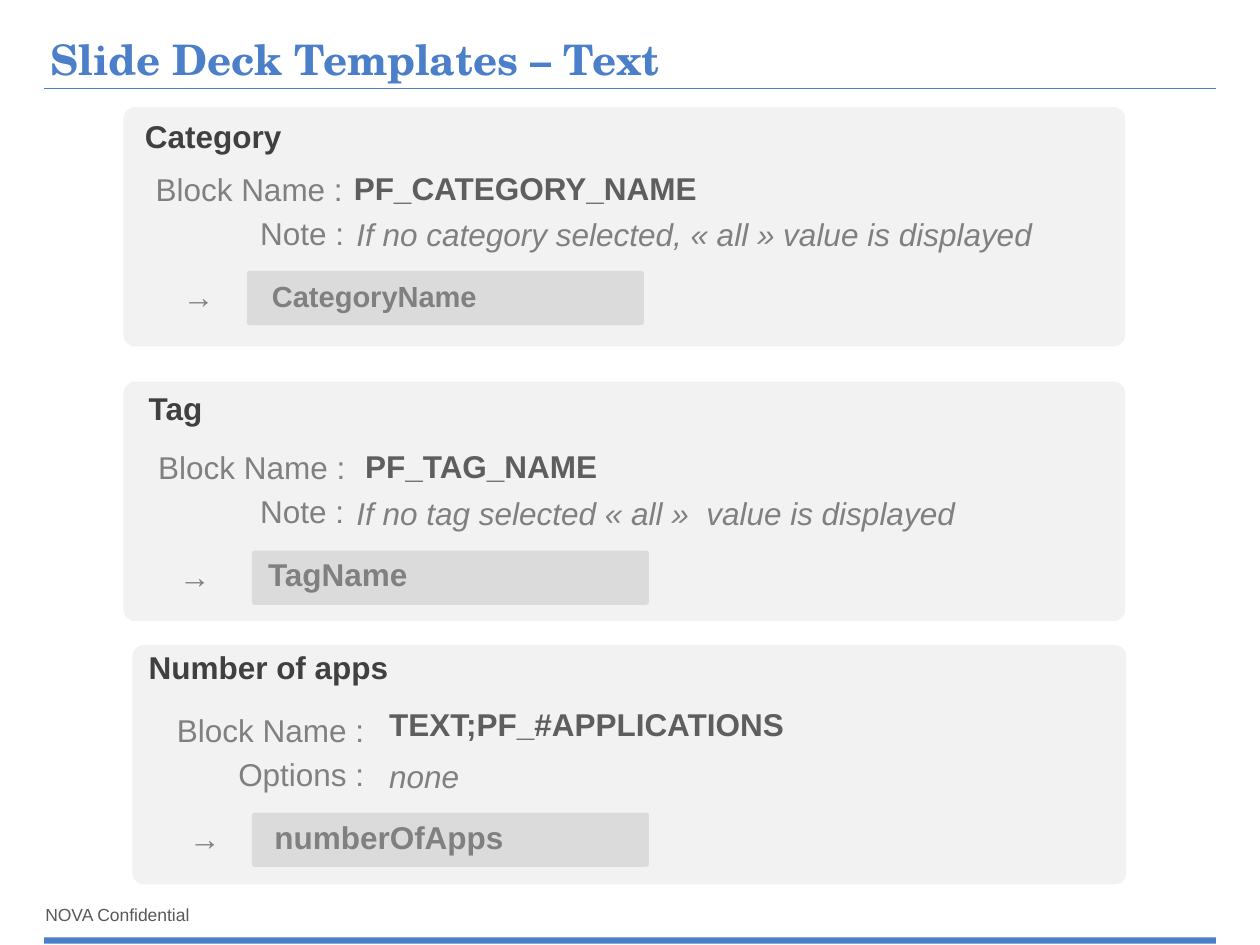
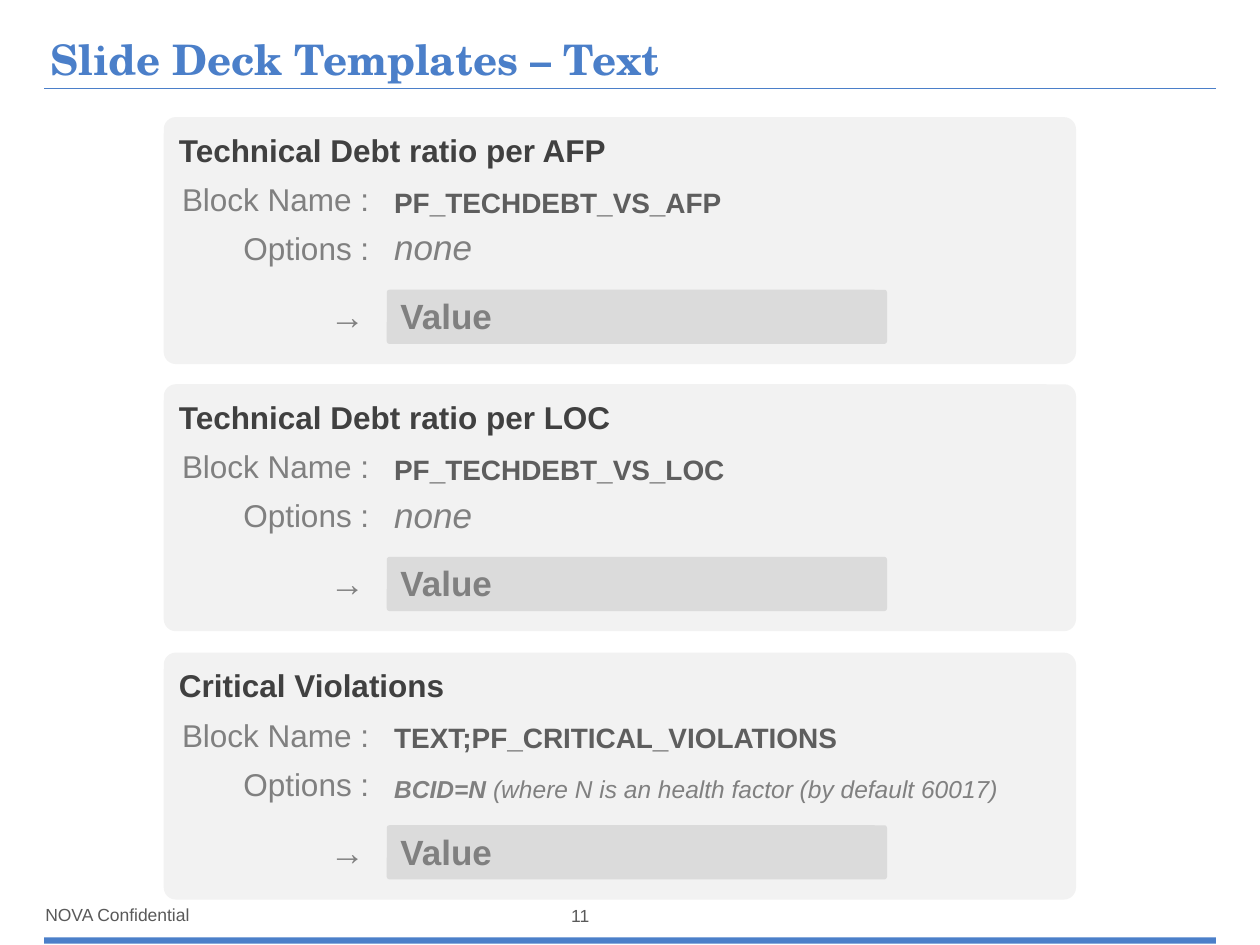
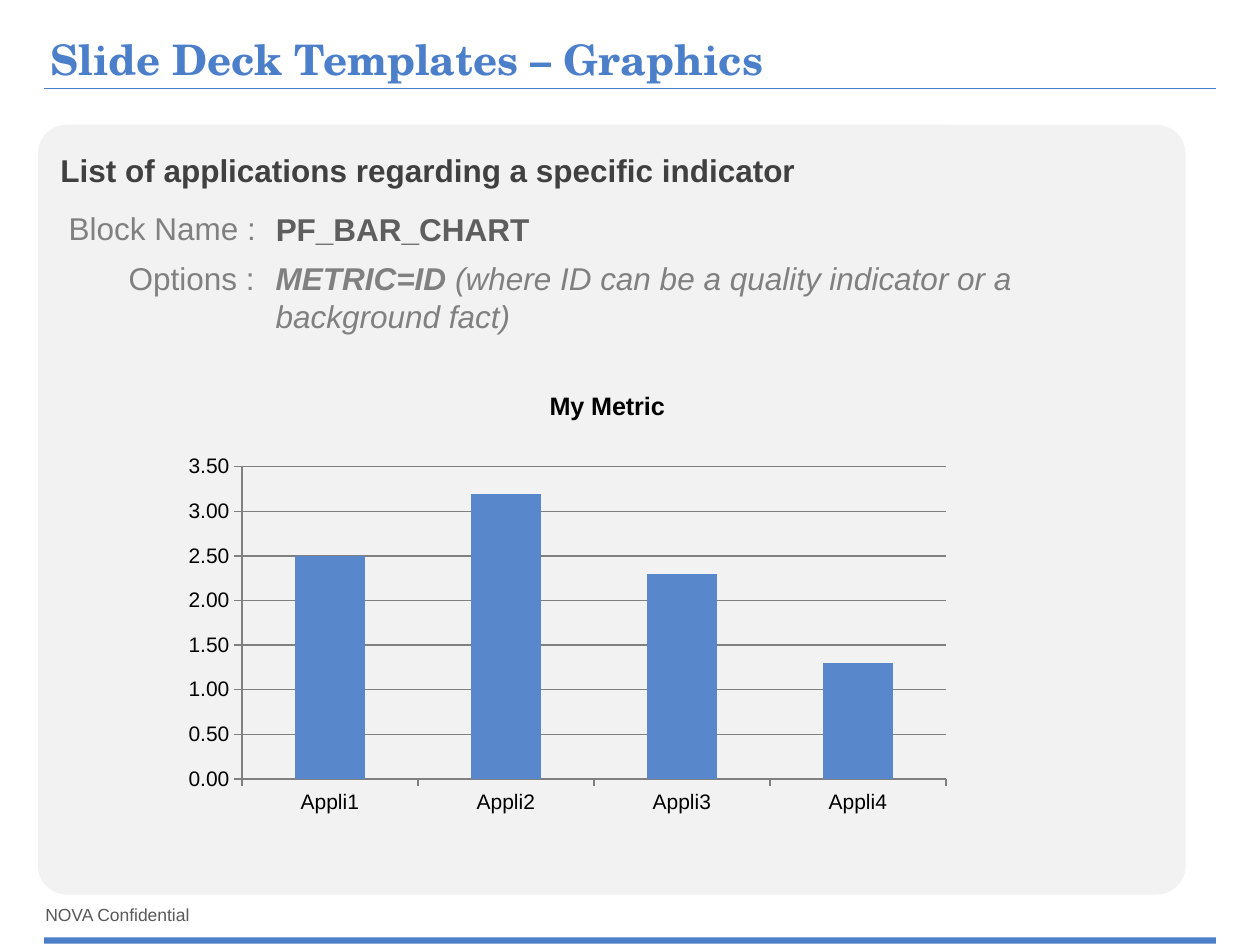
from lxml import etree
from pptx import Presentation
from pptx import util as u
from pptx.chart.data import CategoryChartData
from pptx.dml.color import RGBColor
from pptx.enum import chart as ch, shapes, text
from pptx.oxml.ns import qn

PX = 9144  # 100 px to the inch
BLUE = RGBColor(0x4B, 0x7F, 0xC9)
COLUMN_BLUE = RGBColor(0x59, 0x87, 0xCC)
PANEL = RGBColor(0xF2, 0xF2, 0xF2)
SILVER = RGBColor(0xBF, 0xBF, 0xBF)
GREY = RGBColor(0x80, 0x80, 0x80)
DARK = RGBColor(0x40, 0x40, 0x40)
NAME_GREY = RGBColor(0x5E, 0x5E, 0x5E)
FOOTER_GREY = RGBColor(0x59, 0x59, 0x59)
BLACK = RGBColor(0, 0, 0)
LEFT, CENTER, RIGHT = text.PP_ALIGN.LEFT, text.PP_ALIGN.CENTER, text.PP_ALIGN.RIGHT

HEADING = dict(color=DARK, bold=True, insets=(20, 5, 20, 5))
NAME = dict(color=NAME_GREY, bold=True)
LABEL = dict(align=RIGHT, wrap=False)
NOTE = dict(italic=True)
VALUE = dict(bold=True)


def write(slide, box, words, shape=None, lead="", font="Arial", size=18, color=GREY,
          bold=False, italic=False, align=LEFT, anchor=text.MSO_ANCHOR.TOP,
          wrap=True, insets=(10, 5, 10, 5), spacing=None, before=0):
    """Put words in a placeholder or a new text box; lead is a bold opening."""
    box = [n * PX for n in box]
    if shape is None:
        shape = slide.shapes.add_textbox(*box)
    else:
        shape.left, shape.top, shape.width, shape.height = box
    frame = shape.text_frame
    frame.word_wrap = wrap
    frame.auto_size = text.MSO_AUTO_SIZE.NONE
    frame.vertical_anchor = anchor
    (frame.margin_left, frame.margin_top,
     frame.margin_right, frame.margin_bottom) = [n * PX for n in insets]
    line = frame.paragraphs[0]
    line.alignment = align
    line.line_spacing = spacing
    line.space_before = u.Pt(before)
    for part, heavy in ((lead, True), (words, bold)):
        if part:
            run = line.add_run()
            run.text = part
            run.font.name, run.font.size = font, u.Pt(size)
            run.font.bold, run.font.italic = heavy, italic
            run.font.color.rgb = color


def fill_box(slide, box, color, radius=0.049, opacity=100):
    """Draw a filled box without outline; radius 0 gives square corners."""
    kind = shapes.MSO_SHAPE.ROUNDED_RECTANGLE if radius else shapes.MSO_SHAPE.RECTANGLE
    shape = slide.shapes.add_shape(kind, *[n * PX for n in box])
    shape.shadow.inherit = False
    if radius:
        shape.adjustments[0] = radius
    shape.fill.solid()
    shape.fill.fore_color.rgb = color
    shape.line.fill.background()
    if opacity < 100:
        tint = shape._element.spPr.find(qn("a:solidFill"))[0]
        etree.SubElement(tint, qn("a:alpha")).set("val", str(opacity * 1000))


deck = Presentation()
deck.slide_width, deck.slide_height = 1000 * PX, 750 * PX

# Title, rule and footer of every slide
slides = []
for topic in ("Text", "Text", "Graphics"):
    slide = deck.slides.add_slide(deck.slide_layouts[5])
    write(slide, (35, 26, 930, 41), f"Slide Deck Templates – {topic}",
          shape=slide.shapes.title, font="TeX Gyre Schola", size=24, color=BLUE,
          bold=True, anchor=text.MSO_ANCHOR.BOTTOM, insets=(5, 5, 5, 0), spacing=0.9)
    write(slide, (36, 713, 123, 25), "NOVA Confidential", size=10, color=FOOTER_GREY,
          anchor=text.MSO_ANCHOR.MIDDLE, wrap=False, insets=(0, 0, 0, 0))
    rule = slide.shapes.add_connector(shapes.MSO_CONNECTOR.STRAIGHT,
                                      35 * PX, 70 * PX, 965 * PX, 70 * PX)
    rule.line.color.rgb = BLUE
    rule.line.width = u.Pt(0.5)
    etree.SubElement(rule._element.spPr, qn("a:effectLst"))
    fill_box(slide, (35, 744, 930, 5), BLUE, radius=0)
    slides.append(slide)
naming, ratios, graphics = slides

# Slide 1: panel, value bar, then the texts with their places
naming_cards = [
    ((98, 85, 795, 190), (196, 215), [
        ((95, 88, 150, 40), "Category", HEADING),
        ((112, 130, 170, 40), "Block Name :", LABEL),
        ((271, 129, 303, 40), "PF_CATEGORY_NAME", NAME),
        ((195, 165, 88, 40), "Note :", LABEL),
        ((273, 166, 557, 40), "If no category selected, « all » value is displayed", NOTE),
        ((135, 215, 45, 40), "→", LABEL),
        ((206, 216, 195, 40), "CategoryName", dict(VALUE, size=16.6))]),
    ((98, 303, 795, 190), (200, 437), [
        ((98, 304, 472, 40), "Tag", HEADING),
        ((114, 351, 170, 40), "Block Name :", LABEL),
        ((280, 350, 303, 40), "PF_TAG_NAME", NAME),
        ((195, 386, 88, 40), "Note :", LABEL),
        ((273, 387, 563, 40), "If no tag selected « all »  value is displayed", NOTE),
        ((132, 437, 45, 40), "→", LABEL),
        ((203, 436, 234, 44), "TagName", VALUE)]),
    ((105, 512, 789, 190), (200, 645), [
        ((98, 509, 472, 40), "Number of apps", HEADING),
        ((129, 559, 170, 40), "Block Name :", LABEL),
        ((299, 555, 405, 40), "TEXT;PF_#APPLICATIONS", NAME),
        ((178, 594, 121, 40), "Options :", LABEL),
        ((299, 596, 303, 40), "none", NOTE),
        ((140, 645, 45, 40), "→", LABEL),
        ((208, 644, 234, 44), "numberOfApps", VALUE)]),
]
for panel, value_bar, entries in naming_cards:
    fill_box(naming, panel, PANEL)
    fill_box(naming, (*value_bar, 315, 43), SILVER, opacity=45)
    for box, words, style in entries:
        write(naming, box, words, **style)

# Slide 2: three equal cards, one below the other
write(ratios, (433, 713, 55, 25), "11", size=10, color=FOOTER_GREY, align=CENTER, before=2)
ratio_cards = [
    ("Technical Debt ratio per AFP", "PF_TECHDEBT_VS_AFP", "", "none", 81, 20),
    ("Technical Debt ratio per LOC", "PF_TECHDEBT_VS_LOC", "", "none", 82, 20),
    ("Critical Violations", "TEXT;PF_CRITICAL_VIOLATIONS", "BCID=N",
     " (where N is an health factor (by default 60017)", 91, 14),
]
for row, (heading, block, option, note, note_drop, note_size) in enumerate(ratio_cards):
    top = 93 + row * 425 // 2
    fill_box(ratios, (130, top, 724, 196), PANEL)
    fill_box(ratios, (307, top + 137, 397, 43), SILVER, opacity=45)
    write(ratios, (122, top + 6, 472, 40), heading, **HEADING)
    write(ratios, (133, top + 45, 170, 40), "Block Name :", **LABEL)
    write(ratios, (303, top + 49, 448, 37), block, size=16, **NAME)
    write(ratios, (182, top + 84, 121, 40), "Options :", **LABEL)
    write(ratios, (303, top + note_drop, 677, 44), note, lead=option, size=note_size, **NOTE)
    write(ratios, (252, top + 136, 48, 44), "→", size=20, **VALUE)
    write(ratios, (308, top + 136, 420, 44), "Value", size=20, **VALUE)

# Slide 3: one card with a column chart
fill_box(graphics, (30, 99, 911, 611), PANEL, radius=0.038)
write(graphics, (28, 115, 891, 40),
      "List of applications regarding a specific indicator", **HEADING)
write(graphics, (43, 161, 170, 40), "Block Name :", **LABEL)
write(graphics, (209, 162, 725, 40), "PF_BAR_CHART", **NAME)
write(graphics, (91, 201, 121, 40), "Options :", **LABEL)
write(graphics, (209, 201, 677, 71),
      " (where ID can be a quality indicator or a background fact)",
      lead="METRIC=ID", **NOTE)

metric = CategoryChartData(number_format="#,##0.00")
metric.categories = ["Appli1", "Appli2", "Appli3", "Appli4"]
metric.add_series("My Metric", (2.5, 3.2, 2.3, 1.3))
chart = graphics.shapes.add_chart(ch.XL_CHART_TYPE.COLUMN_CLUSTERED, 59 * PX, 273 * PX,
                                  869 * PX, 415 * PX, metric).chart
chart.has_legend = False
chart.font.name, chart.font.size = "Arial", u.Pt(12)
chart.font.color.rgb = BLACK
chart.has_title = True
chart.chart_title.text_frame.text = "My Metric"
title_font = chart.chart_title.text_frame.paragraphs[0].runs[0].font
title_font.name, title_font.size, title_font.bold = "Arial", u.Pt(14.4), True
title_font.color.rgb = BLACK

columns = chart.plots[0]
columns.gap_width, columns.overlap = 150, 100
columns.vary_by_categories = False
columns.series[0].format.fill.solid()
columns.series[0].format.fill.fore_color.rgb = COLUMN_BLUE

apps, scale = chart.category_axis, chart.value_axis
apps.tick_label_position = ch.XL_TICK_LABEL_POSITION.LOW
apps.major_tick_mark = ch.XL_TICK_MARK.OUTSIDE
scale.major_tick_mark = ch.XL_TICK_MARK.CROSS
scale.minimum_scale, scale.maximum_scale, scale.major_unit = 0, 3.5, 0.5
scale.has_major_gridlines = True
scale.tick_labels.number_format = "#,##0.00"
scale.tick_labels.number_format_is_linked = False
for stroke, width in ((apps.format.line, 1), (scale.format.line, 0.75),
                      (scale.major_gridlines.format.line, 0.75)):
    stroke.color.rgb = GREY
    stroke.width = u.Pt(width)

heading_part = chart.chart_title._element
plot_part = heading_part.getparent().find(qn("c:plotArea"))
for part, index, settings in (
        (heading_part, 1, dict(xMode="edge", yMode="edge", x=0.43, y=0.08)),
        (plot_part, 0, dict(layoutTarget="inner", xMode="edge", yMode="edge",
                            x=0.153, y=0.235, w=0.643, h=0.597))):
    for automatic in part.findall(qn("c:layout")):
        part.remove(automatic)
    layout = etree.Element(qn("c:layout"))
    manual = etree.SubElement(layout, qn("c:manualLayout"))
    for tag, setting in settings.items():
        etree.SubElement(manual, qn(f"c:{tag}")).set("val", str(setting))
    part.insert(index, layout)

deck.save("out.pptx")
